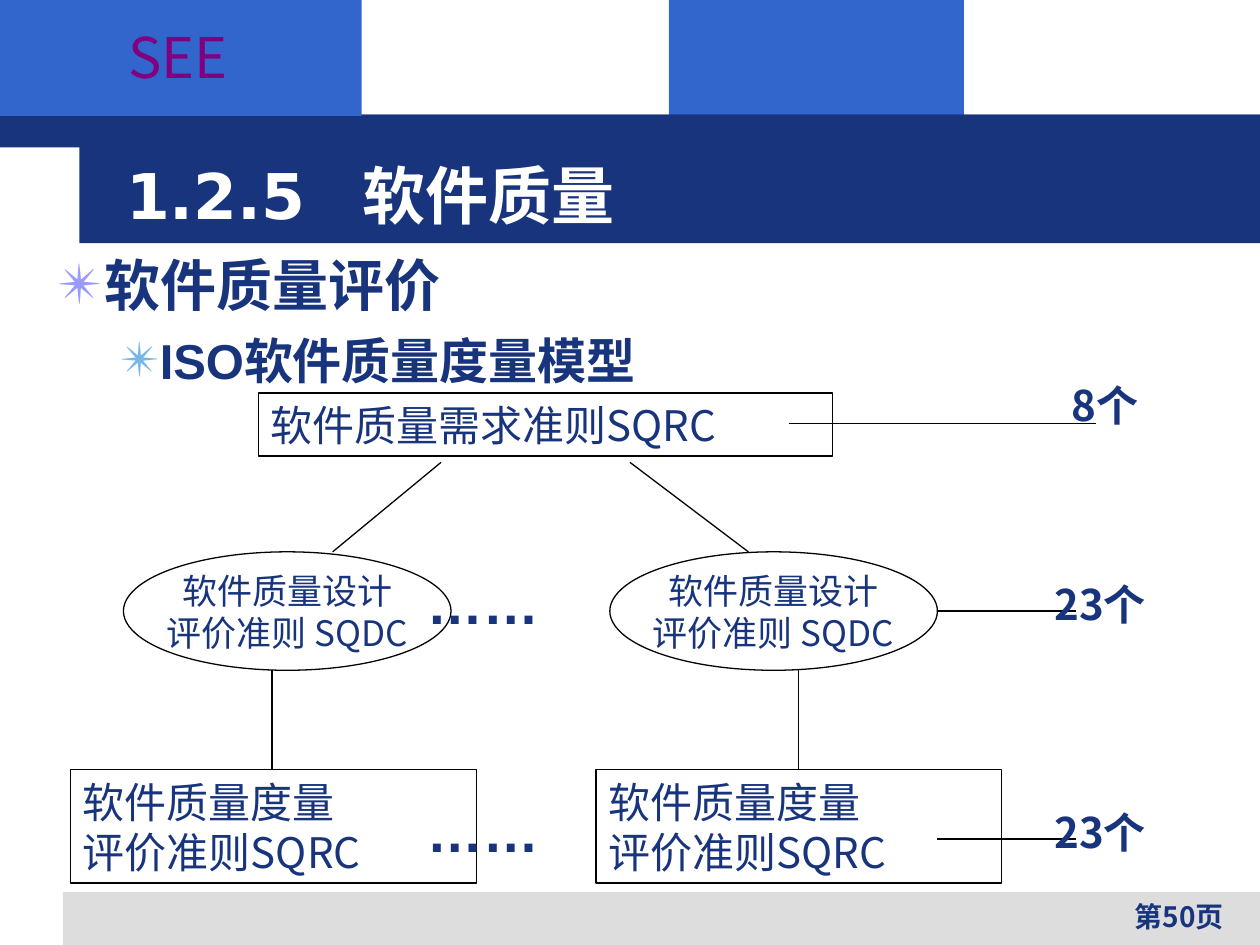
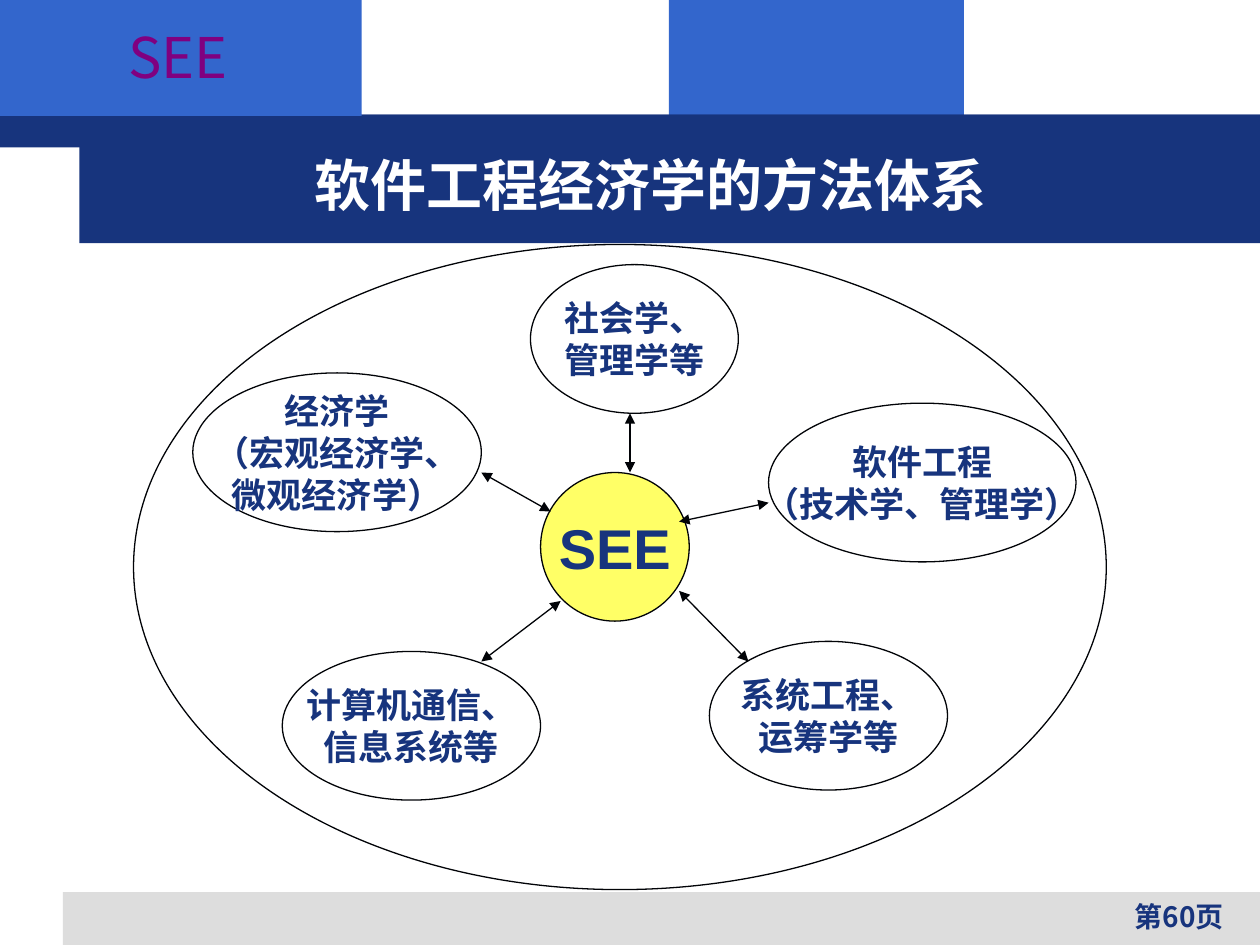
from lxml.etree import SubElement
from pptx import Presentation
from pptx.dml.color import RGBColor
from pptx.enum.shapes import MSO_CONNECTOR, MSO_SHAPE
from pptx.enum.text import MSO_ANCHOR, MSO_AUTO_SIZE, PP_ALIGN
from pptx.oxml.ns import qn
from pptx.util import Inches, Pt

NAVY, BLUE, GREY, INK = "17347D", "3366CC", "DDDDDD", "010307"
WHITE, YELLOW, PURPLE, LILAC, SKY = "FFFFFF", "FFFF66", "800080", "9999FF", "77B7E7"
CJK = "Noto Sans CJK SC"
RECT, OVAL = MSO_SHAPE.RECTANGLE, MSO_SHAPE.OVAL
LEFT, MID, RIGHT = PP_ALIGN.LEFT, PP_ALIGN.CENTER, PP_ALIGN.RIGHT

TITLE = {"name": "DejaVu Sans", "size": Pt(32), "bold": True, "color": WHITE}
BODY = {"name": "Arial", "size": Pt(32), "bold": True, "color": NAVY}
FIELD = BODY | {"size": Pt(20)}
BOX = {"name": CJK, "size": Pt(24), "bold": False, "color": NAVY}
STEP = BOX | {"size": Pt(20)}
COUNT = BOX | {"bold": True}
PAGE = COUNT | {"size": Pt(16)}
LOGO = BOX | {"size": Pt(32), "color": PURPLE}


def rgb(code):
    return RGBColor.from_string(code)


def style(font, form):
    for key, value in form.items():
        if key == "color":
            font.color.rgb = rgb(value)
        else:
            setattr(font, key, value)


def write(frame, lines, form, align=LEFT, wrap=True, anchor=MSO_ANCHOR.TOP):
    """Fill a text frame, one paragraph to each line."""
    frame.auto_size = MSO_AUTO_SIZE.NONE
    frame.word_wrap = wrap
    frame.vertical_anchor = anchor
    for i, line in enumerate(lines):
        para = frame.add_paragraph() if i else frame.paragraphs[0]
        para.alignment = align
        run = para.add_run()
        run.text = line
        style(run.font, form)


def place(shape, area):
    for key, value in zip(("left", "top", "width", "height"), area):
        setattr(shape, key, Inches(value))


def draw(slide, kind, area, fill=None, line=None):
    shape = slide.shapes.add_shape(kind, *map(Inches, area))
    shape.shadow.inherit = False
    if fill:
        shape.fill.solid()
        shape.fill.fore_color.rgb = rgb(fill)
    else:
        shape.fill.background()
    if line:
        shape.line.color.rgb = rgb(line)
        shape.line.width = Pt(0.75)
    else:
        shape.line.fill.background()
    return shape


def label(slide, area, lines, form, **opts):
    box = slide.shapes.add_textbox(*map(Inches, area))
    write(box.text_frame, lines, form, **opts)
    return box


def frame(slide, area, lines):
    box = draw(slide, RECT, area, line=INK)
    write(box.text_frame, lines, BOX)


def bubble(slide, area, lines, form, fill=None):
    oval = draw(slide, OVAL, area, fill, INK)
    write(oval.text_frame, lines, form, MID, False, MSO_ANCHOR.MIDDLE)


def link(slide, start, end, arrows=False):
    wire = slide.shapes.add_connector(
        MSO_CONNECTOR.STRAIGHT, *map(Inches, start + end))
    wire.line.color.rgb = rgb(INK)
    wire.line.width = Pt(0.75)
    props = wire.element.spPr
    if arrows:
        for tag in ("a:headEnd", "a:tailEnd"):
            SubElement(props.find(qn("a:ln")), qn(tag), type="triangle")
    SubElement(props, qn("a:effectLst"))


def bullet(para, left, hang, color):
    props = para._p.get_or_add_pPr()
    props.set("marL", str(Inches(left)))
    props.set("indent", str(-Inches(hang)))
    paint = SubElement(props, qn("a:buClr"))
    SubElement(paint, qn("a:srgbClr"), val=color)
    SubElement(props, qn("a:buChar"), char="✴")


def tab(para, stop):
    props = para._p.get_or_add_pPr()
    stops = SubElement(props, qn("a:tabLst"))
    SubElement(stops, qn("a:tab"), pos=str(Inches(stop)), algn="l")


def outline(run, color):
    props = run._r.get_or_add_rPr()
    edge = SubElement(props, qn("a:ln"), w=str(Pt(0.75)))
    fill = SubElement(edge, qn("a:solidFill"))
    SubElement(fill, qn("a:srgbClr"), val=color)
    props.insert(0, edge)


def brand(slide, master):
    """Draw the shared bands and mark, then move them to the master."""
    bands = [
        ((5.31, 0, 2.34, 0.92), BLUE),
        ((0.5, 7.08, 9.5, 0.42), GREY),
        ((0, 0.91, 10, 0.26), NAVY),
        ((0.63, 0.91, 9.37, 1.02), NAVY),
        ((0, 0, 2.87, 0.92), BLUE),
    ]
    parts = [draw(slide, RECT, area, fill) for area, fill in bands]
    mark = label(slide, (0.35, 0.13, 2.13, 0.71), ["SEE"], LOGO,
                 align=MID, wrap=False)
    outline(mark.text_frame.paragraphs[0].runs[0], "CC99FF")
    tree = master.shapes.element
    for i, part in enumerate(parts + [mark]):
        part.element.nvSpPr.cNvPr.set("id", str(100 + i))
        tree.insert(2 + i, part.element)


def start(deck, layout, title, top, page, align=LEFT, **extra):
    """Add a slide with its title and page number."""
    slide = deck.slides.add_slide(deck.slide_layouts[layout])
    head = slide.shapes.title
    place(head, (0.9, top, 8.53, 0.62))
    write(head.text_frame, [title], TITLE | extra, align,
          anchor=MSO_ANCHOR.MIDDLE)
    label(slide, (6.34, 7.09, 3.47, 0.41), [f"第{page}页"], PAGE, align=RIGHT)
    return slide


def topics(slide):
    body = slide.placeholders[1]
    place(body, (0.35, 1.94, 9.31, 5.34))
    write(body.text_frame, ["软件质量评价", "ISO软件质量度量模型"], BODY)
    first, second = body.text_frame.paragraphs
    first.space_before, second.space_before = Pt(0), Pt(7)
    second.level = 1
    second.runs[0].font.size = Pt(28)
    bullet(first, 0.38, 0.38, LILAC)
    bullet(second, 0.81, 0.31, SKY)


def quality(deck):
    slide = start(deck, 1, "1.2.5\t软件质量", 1.23, 50, size=Pt(36))
    tab(slide.shapes.title.text_frame.paragraphs[0], 1.88)
    topics(slide)
    frame(slide, (2.05, 3.12, 4.56, 0.5), ["软件质量需求准则SQRC"])
    # Oval left, box left, stem, and the branch from the top box
    columns = [(0.98, 0.56, 2.16, 3.5, 2.64), (4.84, 4.73, 6.34, 5, 5.94)]
    for oval, box, stem, root, tip in columns:
        bubble(slide, (oval, 4.38, 2.6, 0.94),
               ["软件质量设计", "评价准则 SQDC"], STEP)
        frame(slide, (box, 6.11, 3.22, 0.9), ["软件质量度量", "评价准则SQRC"])
        link(slide, (root, 3.67), (tip, 4.38))
        link(slide, (stem, 5.32), (stem, 6.11))
    for top in (4.46, 6.27):
        label(slide, (3.29, top, 1.84, 0.64), ["……"], BODY)
    counts = [("8个", 8.41, 2.96, 6.26, 8.7, 3.36),
              ("23个", 8.27, 4.54, 7.44, 8.54, 4.85),
              ("23个", 8.27, 6.35, 7.44, 8.54, 6.66)]
    for text, left, top, near, far, level in counts:
        link(slide, (near, level), (far, level))
        label(slide, (left, top, 1.6, 0.5), [text], COUNT)
    return slide


def methods(deck):
    slide = start(deck, 5, "软件工程经济学的方法体系", 1.15, 60, MID)
    draw(slide, OVAL, (1.06, 1.94, 7.72, 5.12), line=INK)
    bubble(slide, (4.29, 3.75, 1.18, 1.18), ["SEE"], BODY, YELLOW)
    # Oval area, its lines, and the two ends of its arrow
    fields = [
        ((4.21, 2.1, 1.65, 1.18), ["社会学、", "管理学等"],
         (5, 3.28), (5, 3.75)),
        ((6.1, 3.2, 2.44, 1.26), ["软件工程", "（技术学、管理学）"],
         (5.39, 4.14), (6.1, 3.99)),
        ((1.53, 2.96, 2.29, 1.26), ["经济学", "（宏观经济学、", "微观经济学）"],
         (4.37, 4.06), (3.82, 3.75)),
        ((5.63, 5.09, 1.89, 1.18), ["系统工程、", "运筹学等"],
         (5.39, 4.69), (5.94, 5.25)),
        ((2.24, 5.17, 2.05, 1.18), ["计算机通信、", "信息系统等"],
         (4.45, 4.77), (3.82, 5.25)),
    ]
    for area, lines, near, far in fields:
        bubble(slide, area, lines, FIELD)
        link(slide, near, far, arrows=True)


def main():
    deck = Presentation()
    deck.slide_width, deck.slide_height = Inches(10), Inches(7.5)
    slide = quality(deck)
    brand(slide, deck.slide_master)
    methods(deck)
    deck.save("out.pptx")


if __name__ == "__main__":
    main()
